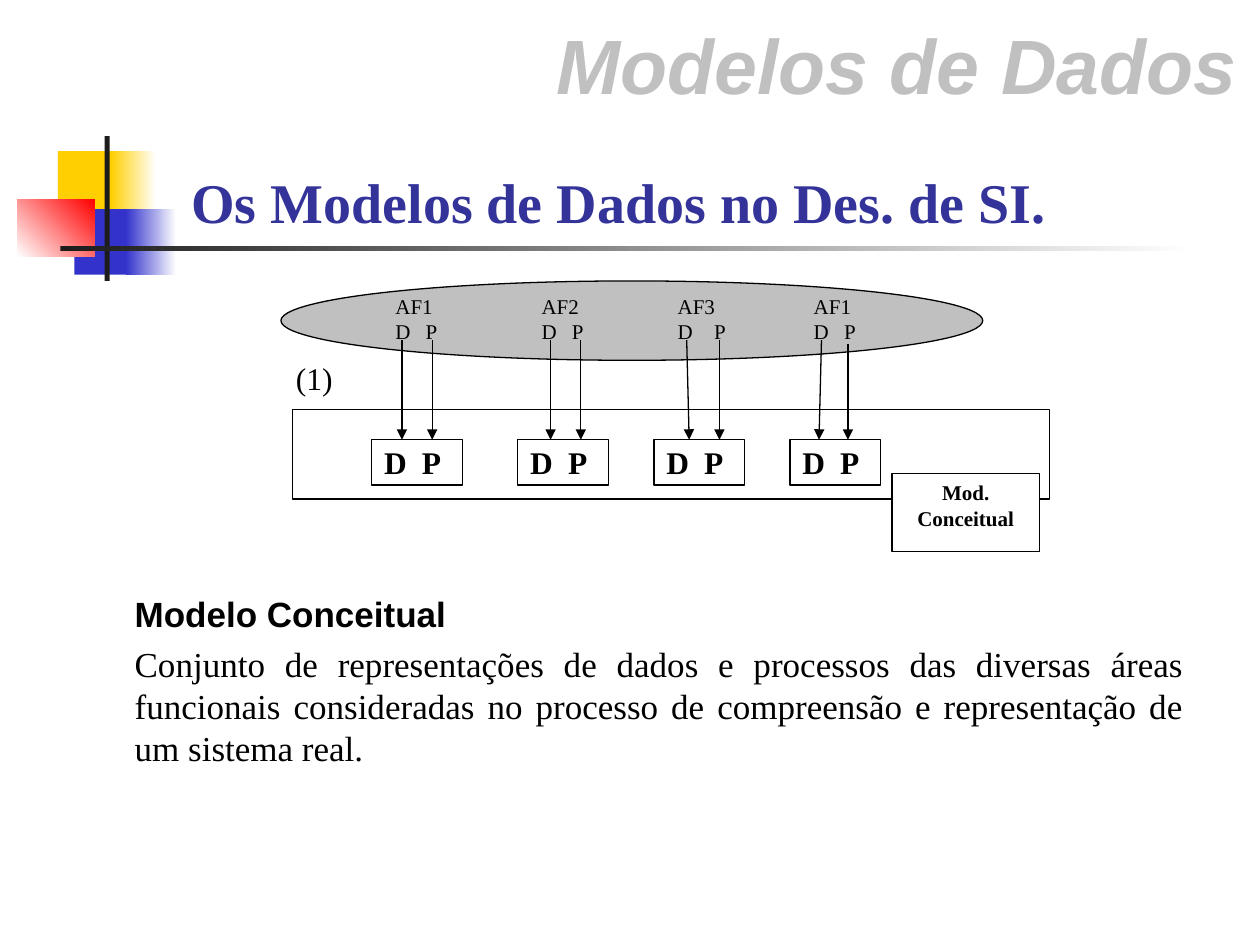
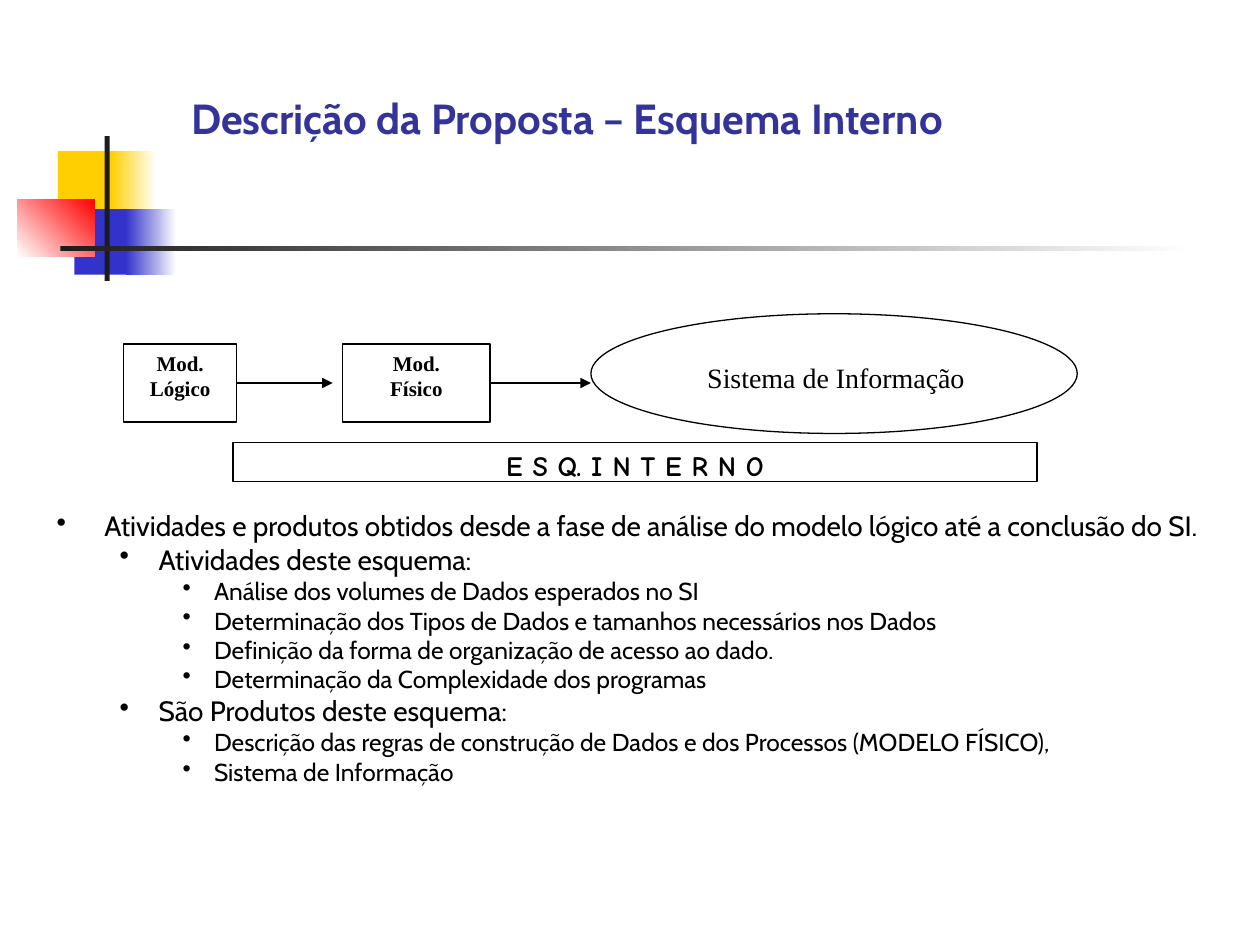
from lxml import etree
from pptx import Presentation
from pptx.dml.color import RGBColor
from pptx.enum.shapes import MSO_CONNECTOR, MSO_SHAPE
from pptx.enum.text import MSO_ANCHOR, PP_ALIGN
from pptx.oxml.ns import qn
from pptx.util import Inches, Pt

RECT, OVAL = MSO_SHAPE.RECTANGLE, MSO_SHAPE.OVAL
STRAIGHT = MSO_CONNECTOR.STRAIGHT
TOP, BOTTOM = MSO_ANCHOR.TOP, MSO_ANCHOR.BOTTOM
LEFT, CENTER, RIGHT, JUSTIFY = PP_ALIGN.LEFT, PP_ALIGN.CENTER, PP_ALIGN.RIGHT, PP_ALIGN.JUSTIFY

BLACK = RGBColor(0x00, 0x00, 0x00)
WHITE = RGBColor(0xFF, 0xFF, 0xFF)
SILVER = RGBColor(0xC0, 0xC0, 0xC0)
CHARCOAL = RGBColor(0x1C, 0x1C, 0x1C)
YELLOW = RGBColor(0xFF, 0xCF, 0x01)
BLUE = RGBColor(0x33, 0x33, 0xCC)
RED = RGBColor(0xFF, 0x00, 0x00)
INDIGO = RGBColor(0x33, 0x33, 0x99)

SERIF, SANS, CABIN, COMIC = "Times New Roman", "Arial", "Cabin", "Comic Neue"

LABEL = {"name": SERIF, "size": Pt(12), "color": BLACK}
MODEL = {**LABEL, "bold": True}
PAIR = {**MODEL, "size": Pt(18)}
STEP = {**LABEL, "size": Pt(18)}
SYSTEM = {**LABEL, "size": Pt(16)}
SCHEMA = {"name": COMIC, "size": Pt(16), "bold": True, "color": BLACK}
BANNER = {"name": SANS, "size": Pt(44), "bold": True, "italic": True, "color": SILVER}
TITLE = {"name": SERIF, "size": Pt(32), "bold": True, "color": INDIGO}
TITLE_CABIN = {**TITLE, "name": CABIN, "size": Pt(24)}
HEADING = {"name": SANS, "size": Pt(20), "bold": True, "color": BLACK}
BODY = {"name": SERIF, "size": Pt(20), "color": BLACK}

ORNAMENT = [
    ((0.46, 1.2, 0.48, 0.52), (YELLOW,), 0),
    ((0.88, 1.2, 0.36, 0.52), (YELLOW, WHITE), 0),
    ((0.59, 1.66, 0.46, 0.52), (BLUE,), 0),
    ((1, 1.66, 0.4, 0.52), (BLUE, WHITE), 0),
    ((0.14, 1.58, 0.61, 0.46), (WHITE, RED), 45),
    ((0.83, 1.08, 0.04, 1.15), (CHARCOAL,), 0),
    ((0.48, 1.95, 9, 0.04), (CHARCOAL, WHITE), 0),
]

AREAS = [
    {"name": "AF1", "left": 3.04, "gap": 0.24,
     "arrows": [(3.19, 3.19, 2.7), (3.43, 3.43, 2.7)]},
    {"name": "AF2", "left": 4.2, "gap": 0.24,
     "arrows": [(4.37, 4.37, 2.7), (4.61, 4.61, 2.7)]},
    {"name": "AF3", "left": 5.28, "gap": 0.29,
     "arrows": [(5.45, 5.47, 2.7), (5.71, 5.71, 2.7)]},
    {"name": "AF1", "left": 6.36, "gap": 0.24,
     "arrows": [(6.52, 6.5, 2.7), (6.73, 6.73, 2.73)]},
]
PAIR_TOP, PAIR_GAP, PAIR_SHIFT = 3.49, 0.3, 0.09

CONCEPT = ("Modelo Conceitual",
           "Conjunto de representações de dados e processos das diversas áreas "
           "funcionais consideradas no processo de compreensão e representação de "
           "um sistema real.")

MODELS = [("Lógico", (0.98, 2.73, 0.9, 0.62)), ("Físico", (2.72, 2.73, 1.17, 0.62))]
FLOW_STARTS, FLOW_Y, FLOW_LENGTH = (1.85, 3.9), 3.04, 0.79

OUTLINE = [
    (0, "Atividades e produtos obtidos desde a fase de análise do modelo lógico até a conclusão do SI."),
    (1, "Atividades deste esquema:"),
    (2, "Análise dos volumes de Dados esperados no SI"),
    (2, "Determinação dos Tipos de Dados e tamanhos necessários nos Dados"),
    (2, "Definição da forma de organização de acesso ao dado."),
    (2, "Determinação da Complexidade dos programas"),
    (1, "São Produtos deste esquema:"),
    (2, "Descrição das regras de construção de Dados e dos Processos (MODELO FÍSICO),"),
    (2, "Sistema de Informação"),
]
LEVELS = [(0.38, -0.38, 16), (0.81, -0.31, 16), (1.25, -0.25, 14)]


def inches(values):
    return [Inches(value) for value in values]


def format_font(font, style):
    for key, value in style.items():
        if key == "color":
            font.color.rgb = value
        else:
            setattr(font, key, value)


def add_tab_stop(para, position):
    tabs = etree.SubElement(para._p.get_or_add_pPr(), qn("a:tabLst"))
    etree.SubElement(tabs, qn("a:tab"), pos=str(Inches(position)), algn="l")


def add_bullet(para, left, indent):
    properties = para._p.get_or_add_pPr()
    properties.set("marL", str(Inches(left)))
    properties.set("indent", str(Inches(indent)))
    etree.SubElement(properties, qn("a:buChar"), char="•")


def write(box, lines, align=LEFT, anchor=TOP, inset=0.05, tab=None):
    frame = box.text_frame
    frame.word_wrap = True
    frame.vertical_anchor = anchor
    frame.margin_top = Inches(inset)
    frame.margin_bottom = Inches(min(inset, 0.05))
    for index, (text, style) in enumerate(lines):
        para = frame.paragraphs[0] if index == 0 else frame.add_paragraph()
        para.alignment = align
        if tab and "\t" in text:
            add_tab_stop(para, tab)
        span = para.add_run()
        span.text = text
        format_font(span.font, style)
    return frame


def add_text(page, place, lines, **layout):
    return write(page.shapes.add_textbox(*inches(place)), lines, **layout)


def add_outlined(page, kind, place, fill=WHITE):
    shape = page.shapes.add_shape(kind, *inches(place))
    shape.shadow.inherit = False
    shape.fill.solid()
    shape.fill.fore_color.rgb = fill
    shape.line.color.rgb = BLACK
    shape.line.width = Pt(0.75)
    return shape


def add_arrow(page, *ends):
    arrow = page.shapes.add_connector(STRAIGHT, *inches(ends))
    arrow.line.color.rgb = BLACK
    arrow.line.width = Pt(0.75)
    etree.SubElement(arrow.line._get_or_add_ln(), qn("a:tailEnd"), type="triangle")
    etree.SubElement(arrow._element.spPr, qn("a:effectLst"))


def add_model(page, name, place):
    write(add_outlined(page, RECT, place), [("Mod.", MODEL), (name, MODEL)], align=CENTER)


def add_page(deck):
    page = deck.slides.add_slide(deck.slide_layouts[6])
    for place, colors, angle in ORNAMENT:
        shape = page.shapes.add_shape(RECT, *inches(place))
        shape.shadow.inherit = False
        shape.line.fill.background()
        if len(colors) == 1:
            shape.fill.solid()
            shape.fill.fore_color.rgb = colors[0]
        else:
            shape.fill.gradient()
            shape.fill.gradient_angle = angle
            for stop, color in zip(shape.fill.gradient_stops, colors):
                stop.color.rgb = color
    return page


def add_title(page, text, top, style):
    add_text(page, (1.42, top, 8.58, 0.58), [(text, style)], anchor=BOTTOM)


def build_conceptual_page(deck):
    page = add_page(deck)
    add_outlined(page, OVAL, (2.23, 2.23, 5.57, 0.63), SILVER)
    for area in AREAS:
        add_text(page, (area["left"], 2.28, 0.72, 0.71),
                 [(area["name"], LABEL), ("D\tP", LABEL)], tab=area["gap"])
    add_outlined(page, RECT, (2.32, 3.25, 6.01, 0.71))
    add_model(page, "Conceitual", (7.08, 3.76, 1.17, 0.62))
    for area in AREAS:
        for start, end, top in area["arrows"]:
            add_arrow(page, start, top, end, PAIR_TOP)
        pair = add_outlined(page, RECT, (area["left"] - PAIR_SHIFT, PAIR_TOP, 0.72, 0.36))
        write(pair, [("D\tP", PAIR)], inset=0.03, tab=PAIR_GAP)
    add_text(page, (2.25, 2.8, 0.58, 0.4), [("(1)", STEP)])
    add_text(page, (1.42, 0.17, 8.5, 0.75), [("Modelos de Dados", BANNER)],
             align=RIGHT, anchor=BOTTOM)
    add_title(page, "Os Modelos de Dados no Des. de SI.", 1.33, TITLE)
    frame = add_text(page, (0.97, 4.65, 8.52, 1.69), list(zip(CONCEPT, (HEADING, BODY))),
                     align=JUSTIFY)
    frame.paragraphs[1].space_before = Pt(5)


def build_internal_page(deck):
    page = add_page(deck)
    add_outlined(page, OVAL, (4.69, 2.49, 3.86, 0.95))
    add_title(page, "Descrição da Proposta – Esquema Interno", 0.6, TITLE_CABIN)
    lines = [(text, {"name": CABIN, "size": Pt(LEVELS[level][2]), "color": BLACK})
             for level, text in OUTLINE]
    frame = add_text(page, (0.35, 3.99, 9.45, 2.83), lines)
    for para, (level, _) in zip(frame.paragraphs, OUTLINE):
        para.level = level
        add_bullet(para, *LEVELS[level][:2])
    for start in FLOW_STARTS:
        add_arrow(page, start, FLOW_Y, start + FLOW_LENGTH, FLOW_Y)
    for name, place in MODELS:
        add_model(page, name, place)
    schema = add_outlined(page, RECT, (1.85, 3.51, 6.38, 0.31))
    write(schema, [("E S Q. I N T E R N O", SCHEMA)], align=CENTER)
    add_text(page, (5.47, 2.81, 2.33, 0.39), [("Sistema de Informação", SYSTEM)], align=CENTER)


def main():
    deck = Presentation()
    deck.slide_width, deck.slide_height = inches((10, 7.5))
    build_conceptual_page(deck)
    build_internal_page(deck)
    deck.save("out.pptx")


if __name__ == "__main__":
    main()
